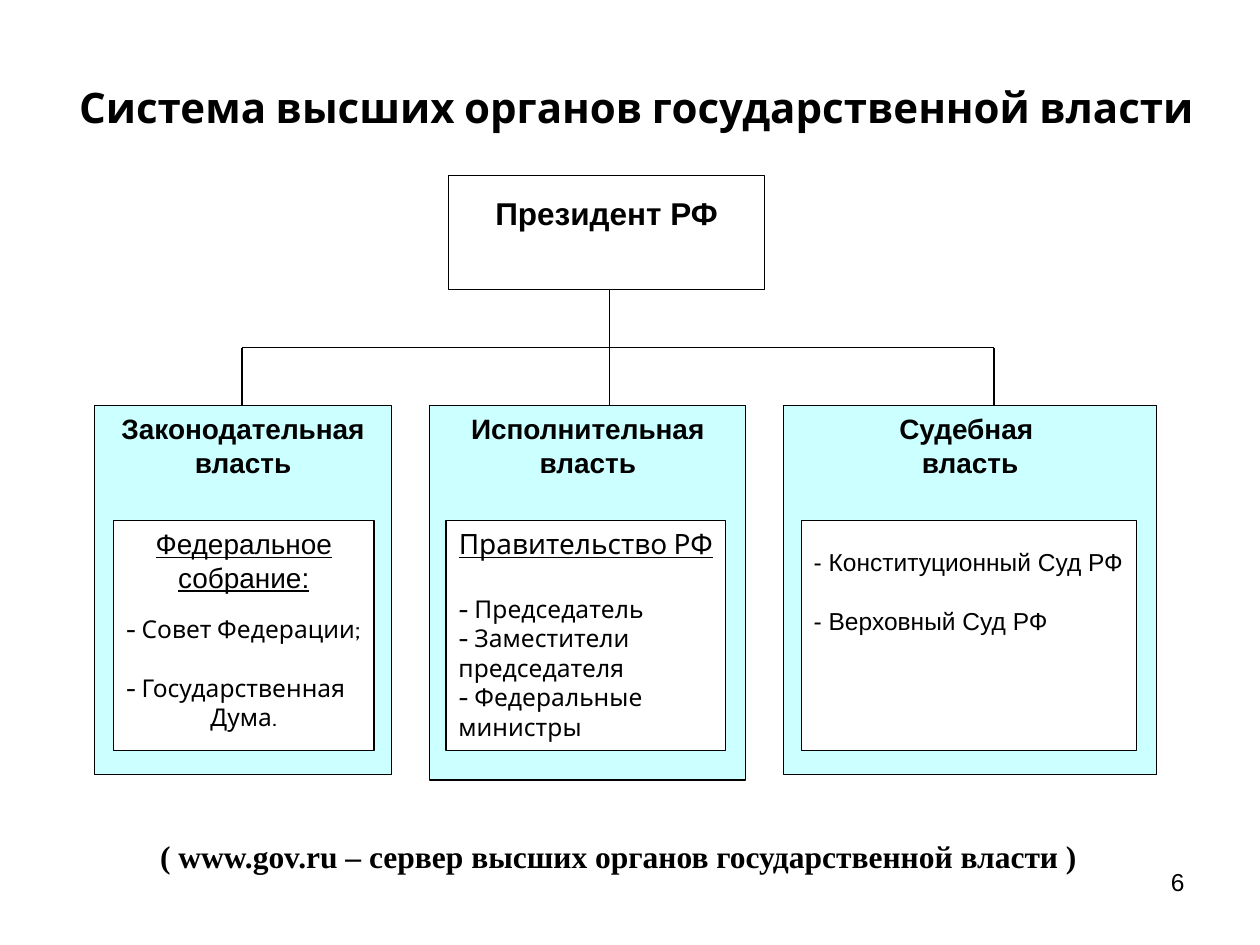
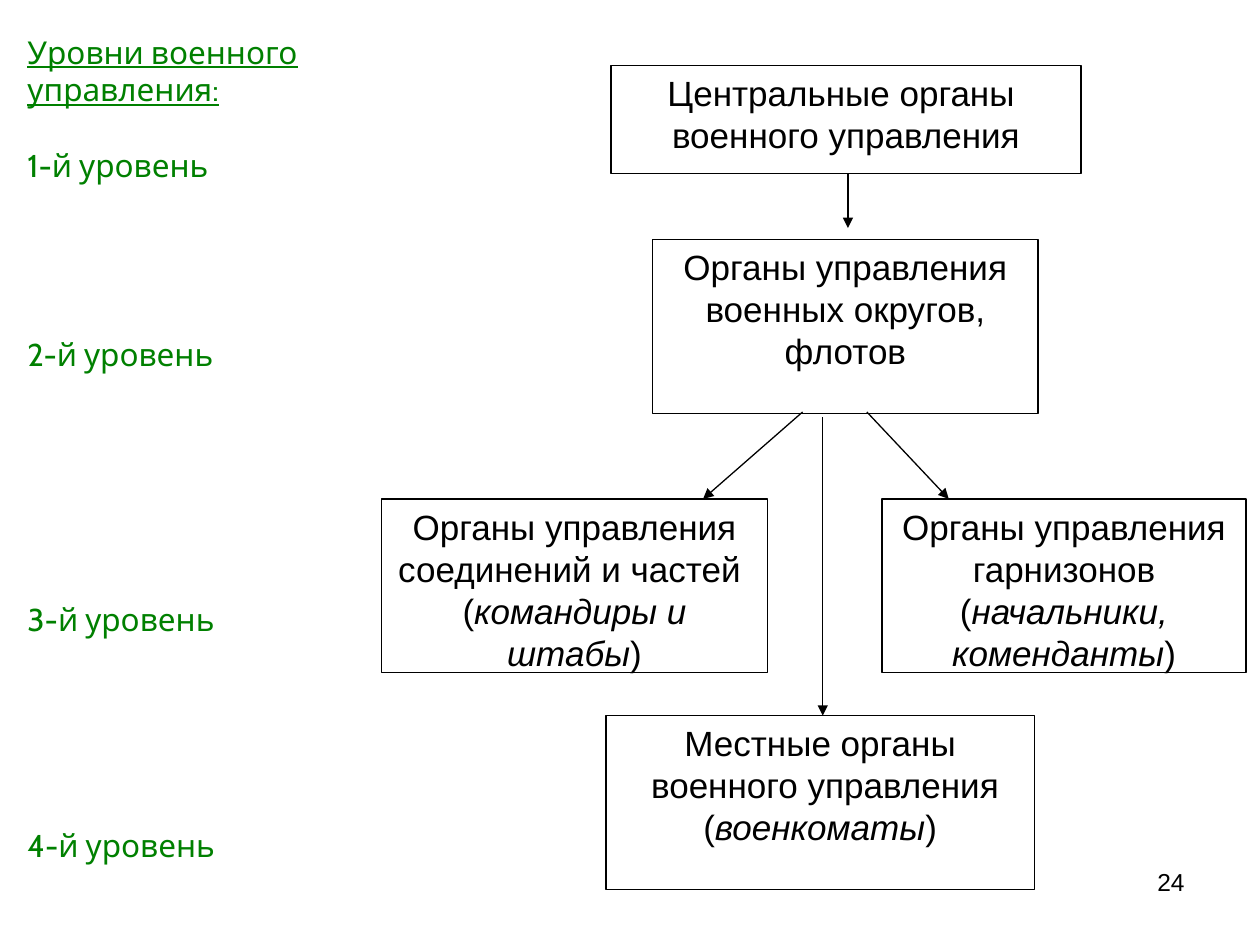
from pptx import Presentation
from pptx.dml.color import RGBColor
from pptx.enum.shapes import MSO_CONNECTOR, MSO_SHAPE
from pptx.enum.text import MSO_ANCHOR, MSO_AUTO_SIZE, PP_ALIGN
from pptx.oxml.ns import qn
from pptx.util import Inches, Pt
from lxml.etree import SubElement

# Shared style
HUES = {"ink": "000000", "paper": "FFFFFF", "aqua": "CCFFFF", "green": "008000"}
SIDES = {"l": PP_ALIGN.LEFT, "c": PP_ALIGN.CENTER, "r": PP_ALIGN.RIGHT}
COLS, ROWS = 100, 75
CELL = Inches(0.1)


def hue(name):
    return RGBColor.from_string(HUES[name])


def write(frame, text, size=14, font="Arial", color="ink", side="l",
          bold=False, under=False, gap=0):
    """Add a paragraph; parts between asterisks are italic."""
    first = frame.paragraphs[0]
    para = frame.add_paragraph() if first.runs else first
    para.alignment = SIDES[side]
    para.space_before = Pt(gap)
    for spot, part in enumerate(text.split("*")):
        if not part:
            continue
        run = para.add_run()
        run.text = part
        face = run.font
        face.name, face.size = font, Pt(size)
        face.bold, face.underline, face.italic = bold, under, spot % 2 == 1
        face.color.rgb = hue(color)


class Deck:
    """Slides laid out on a grid of 100 columns by 75 rows."""

    def __init__(self):
        self.file = Presentation()
        self.file.slide_width = COLS * CELL
        self.file.slide_height = ROWS * CELL
        self.slide = None

    def grid(self, *cells):
        return [round(cell * CELL) for cell in cells]

    def page(self, number):
        self.slide = self.file.slides.add_slide(self.file.slide_layouts[6])
        write(self.text(71.7, 68.3, 23.3, 5.2), str(number), side="r")

    def text(self, x, y, wide, high, wrap=True, grow=False):
        shape = self.slide.shapes.add_textbox(*self.grid(x, y, wide, high))
        frame = shape.text_frame
        frame.word_wrap = wrap
        if grow:
            frame.auto_size = MSO_AUTO_SIZE.SHAPE_TO_FIT_TEXT
        return frame

    def box(self, x, y, wide, high, fill="paper", top=0.5):
        shape = self.slide.shapes.add_shape(
            MSO_SHAPE.RECTANGLE, *self.grid(x, y, wide, high))
        shape.shadow.inherit = False
        shape.fill.solid()
        shape.fill.fore_color.rgb = hue(fill)
        shape.line.color.rgb = hue("ink")
        shape.line.width = Pt(0.75)
        frame = shape.text_frame
        frame.word_wrap = True
        frame.vertical_anchor = MSO_ANCHOR.TOP
        frame.margin_top = self.grid(top)[0]
        return frame

    def line(self, *ends, arrow=False):
        link = self.slide.shapes.add_connector(
            MSO_CONNECTOR.STRAIGHT, *self.grid(*ends))
        link.line.color.rgb = hue("ink")
        link.line.width = Pt(0.75)
        if arrow:
            SubElement(link.line._get_or_add_ln(), qn("a:tailEnd"), type="triangle")
        SubElement(link._element.spPr, qn("a:effectLst"))


def powers(deck):
    deck.page(6)

    # Branches: outer box, inner box, top inset of the inner box, lines
    head = dict(size=16, side="c", under=True)
    item = dict(font="Cabin")
    branches = [
        ("Исполнительная", (34.1, 25.1, 29.7), (35.4, 22.2), 0.5, [
            ("Правительство РФ", dict(head, font="Cabin")),
            ("- Председатель", dict(item, gap=19.4)),
            ("- Заместители председателя", item),
            ("- Федеральные министры", item)]),
        ("Судебная ", (62.2, 29.6, 29.3), (63.6, 26.6), 2.1, [
            ("- Конституционный Суд РФ", {}),
            ("- Верховный Суд РФ", dict(gap=17))]),
        ("Законодательная", (7.5, 23.6, 29.3), (9, 20.7), 0.5, [
            ("Федеральное собрание:", head),
            ("- Совет Федерации;", dict(item, gap=11.5)),
            ("- Государственная", dict(item, gap=17)),
            ("Дума.", dict(item, side="c"))]),
    ]
    for name, (x, wide, high), (left, span), top, lines in branches:
        outer = deck.box(x, 32.2, wide, high, fill="aqua")
        for word in (name, "власть"):
            write(outer, word, size=16, bold=True, side="c")
        inner = deck.box(left, 41.3, span, 18.3, top=top)
        for words, form in lines:
            write(inner, words, **form)

    # President and the tree below
    write(deck.box(35.6, 13.9, 25.1, 9.1, top=1.5), "Президент РФ",
          size=18, bold=True, side="c")
    deck.line(19.2, 27.6, 78.9, 27.6)
    for x, y in ((19.2, 27.6), (48.4, 23), (78.9, 27.6)):
        deck.line(x, y, x, 32.2)

    # Title and source
    write(deck.text(5.3, 6, 91, 5, wrap=False, grow=True),
          "Система высших органов государственной власти",
          size=24, font="Cabin", bold=True)
    write(deck.text(11.3, 65.9, 75.6, 4, grow=True),
          "( www.gov.ru – сервер высших органов государственной власти )",
          size=18, font="Times New Roman", bold=True, side="c")


def levels(deck):
    deck.page(24)

    # Bodies of command
    bodies = [
        ((48.5, 5.2, 37.3, 8.6), ["Центральные органы ", "военного управления"]),
        ((51.8, 19, 30.6, 13.8), ["Органы управления военных округов, флотов"]),
        ((30.3, 39.6, 30.6, 13.8), ["Органы управления соединений и частей ",
                                    "(*командиры и штабы*)"]),
        ((70, 39.6, 28.9, 13.8),
         ["Органы управления гарнизонов (*начальники, коменданты*)"]),
        ((48.1, 56.8, 34, 13.8), ["Местные органы", " военного управления",
                                  "(*военкоматы*)"]),
    ]
    for place, lines in bodies:
        frame = deck.box(*place)
        for words in lines:
            write(frame, words, size=20, side="c")

    # Chain of command
    for ends in ((68.8, 32.7, 75.3, 39.6), (63.7, 32.7, 55.8, 39.6),
                 (67.3, 13.8, 67.3, 18.1), (65.3, 33.1, 65.3, 56.8)):
        deck.line(*ends, arrow=True)

    # Level names, set apart by whole lines
    form = dict(size=18, font="Cabin", color="green")
    side = deck.text(1.2, 2.1, 37, 67, grow=True)
    write(side, "Уровни военного управления:", under=True, **form)
    for rank, skip in enumerate((1, 4, 6, 5), 1):
        write(side, f"{rank}-й уровень", gap=skip * 21.6, **form)


def main():
    deck = Deck()
    powers(deck)
    levels(deck)
    deck.file.save("out.pptx")


if __name__ == "__main__":
    main()
